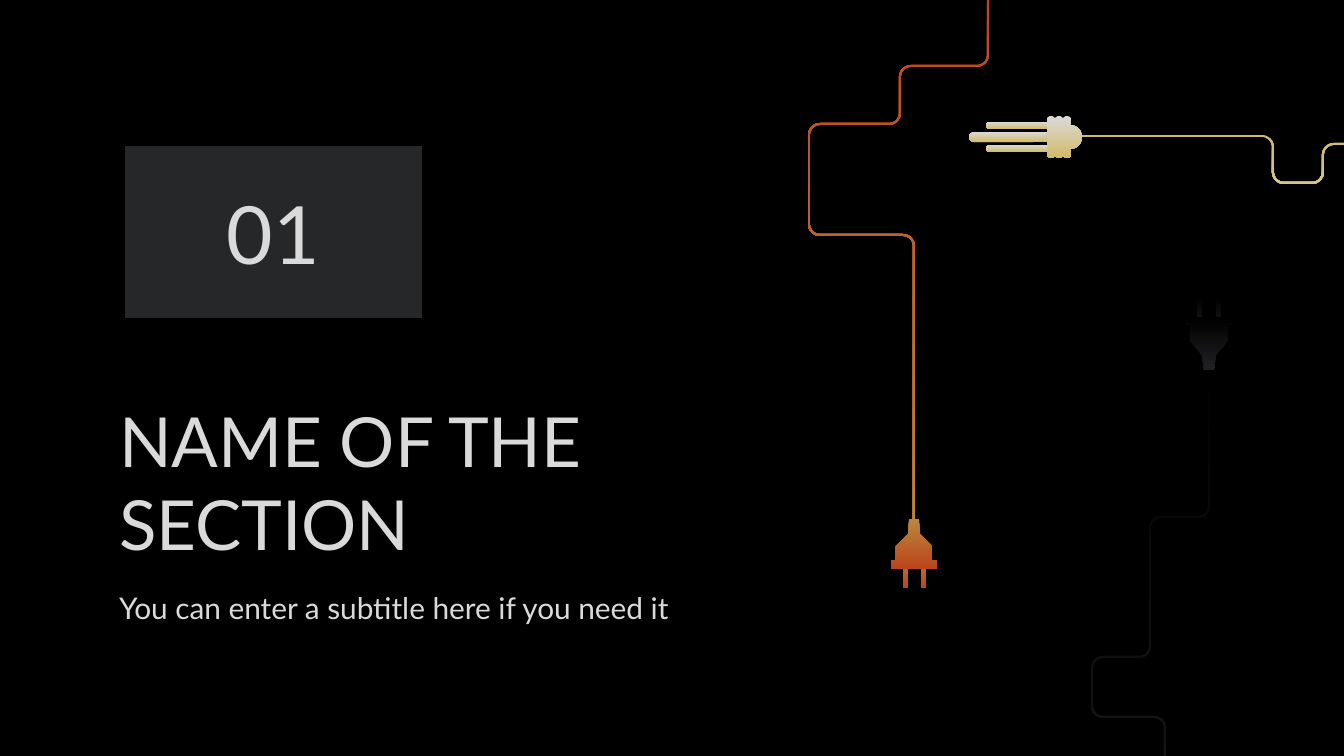
from math import cos, pi, sin

from pptx import Presentation
from pptx.dml.color import RGBColor
from pptx.enum.shapes import MSO_SHAPE as Preset
from pptx.enum.text import MSO_ANCHOR as Anchor, MSO_AUTO_SIZE as AutoSize, PP_ALIGN as Align
from pptx.oxml.ns import qn
from pptx.util import Emu, Pt
from lxml.etree import SubElement

SCALE = 914400 / 134.4
FONT = "Lato"
LIGHT = "DADADA"
CORD_RADIUS = 11
CORD_HALF_WIDTH = 1
ORANGE = ("BB8640", "BC451B")
YELLOW = ("D3BA68", LIGHT)
DARK = ("000000", "212123")


def px(length):
    return Emu(round(length * SCALE))


def color(hex_string):
    return RGBColor.from_string(hex_string)


def paint(shape, top, bottom):
    shape.shadow.inherit = False
    shape.line.fill.background()
    shape.fill.gradient()
    shape.fill.gradient_angle = 270
    for stop, shade in zip(shape.fill.gradient_stops, (top, bottom)):
        stop.color.rgb = color(shade)


def add_outline(slide, points, top, bottom):
    corners = [(px(x), px(y)) for x, y in points]
    builder = slide.shapes.build_freeform(*corners[0], scale=1.0)
    builder.add_line_segments(corners[1:], close=True)
    paint(builder.convert_to_shape(), top, bottom)


def arc(center_x, center_y, radius, start, end, steps=12):
    angles = [start + (end - start) * step / steps for step in range(steps + 1)]
    return [(center_x + radius * cos(a), center_y + radius * sin(a)) for a in angles]


def direction(start, end):
    dx, dy = end[0] - start[0], end[1] - start[1]
    length = abs(dx) + abs(dy)
    return dx / length, dy / length


def cord_edge(route, side):
    offset = side * CORD_HALF_WIDTH
    headings = [direction(a, b) for a, b in zip(route, route[1:])]

    def beside(point, heading):
        return point[0] - heading[1] * offset, point[1] + heading[0] * offset

    edge = [beside(route[0], headings[0])]
    for (x, y), (ax, ay), (bx, by) in zip(route[1:-1], headings, headings[1:]):
        center_x = x + (bx - ax) * CORD_RADIUS
        center_y = y + (by - ay) * CORD_RADIUS
        radius = CORD_RADIUS - offset * (ax * by - ay * bx)
        for across, along in arc(0, 0, radius, 0, pi / 2, 8):
            edge.append((center_x + ax * along - bx * across,
                         center_y + ay * along - by * across))
    return edge + [beside(route[-1], headings[-1])]


def add_cord(slide, route, top, bottom):
    add_outline(slide, cord_edge(route, 1) + cord_edge(route, -1)[::-1], top, bottom)


def add_prong(slide, box, top, bottom):
    prong = slide.shapes.add_shape(Preset.ROUNDED_RECTANGLE, *map(px, box))
    prong.adjustments[0] = 0.5
    paint(prong, top, bottom)


def add_plug_body(slide, center, profile, top, bottom):
    right = [(center + half, y) for half, y in profile]
    left = [(center - half, y) for half, y in reversed(profile)]
    add_outline(slide, right + left, top, bottom)


def add_ridged_head(slide, top, bottom):
    ridges = (1051, 1059, 1067)
    points = []
    for x in ridges:
        points += arc(x, 120, 4, -pi, 0)
    points += arc(1070, 137, 12, -pi / 2, pi / 2)
    for x in reversed(ridges):
        points += arc(x, 154, 4, 0, pi)
    add_outline(slide, points, top, bottom)


def set_text(shape, text, size, anchor, align):
    frame = shape.text_frame
    frame.text = text
    frame.word_wrap = True
    frame.auto_size = AutoSize.NONE
    frame.vertical_anchor = anchor
    frame.margin_left = frame.margin_right = px(13)
    frame.margin_top = frame.margin_bottom = px(13)
    paragraph = frame.paragraphs[0]
    paragraph.alignment = align
    paragraph.space_before = Pt(0)
    font = paragraph.runs[0].font
    font.name, font.size = FONT, Pt(size)
    font.color.rgb = color(LIGHT)


def place(shape, left, top, width, height):
    shape.left, shape.top = px(left), px(top)
    shape.width, shape.height = px(width), px(height)


def add_number(slide, text):
    box = slide.shapes.add_shape(Preset.RECTANGLE, px(124), px(145), px(299), px(174))
    box.shadow.inherit = False
    box.fill.solid()
    box.fill.fore_color.rgb = color("8F9396")
    shade = box.element.spPr.find(qn("a:solidFill"))[0]
    SubElement(shade, qn("a:alpha"), val="27000")
    box.line.color.rgb = color("000000")
    box.line.width = Pt(0.75)
    set_text(box, text, 43, Anchor.MIDDLE, Align.CENTER)


def add_orange_plug(slide):
    add_cord(slide, [(1133, -10), (988, -10), (988, 66), (900, 66), (900, 124),
                     (809, 124), (809, 235), (914, 235), (914, 522)], *ORANGE[::-1])
    for left in (903, 921):
        add_prong(slide, (left, 552, 5, 36), *ORANGE)
    add_plug_body(slide, 914, [(5, 519), (6, 534), (18, 546), (18, 561),
                               (23, 561), (23, 569)], *ORANGE)


def add_dark_plug(slide):
    add_cord(slide, [(1209, 355), (1209, 517), (1150, 517), (1150, 657), (1092, 657),
                     (1092, 717), (1165, 717), (1165, 840), (1114, 840), (1114, 992)], *DARK)
    for left in (1197, 1216):
        add_prong(slide, (left, 297, 5, 38), *DARK)
    add_plug_body(slide, 1209, [(23, 317), (23, 325), (19, 325), (19, 341),
                                (7, 355), (5, 370)], *DARK)


def add_yellow_plug(slide):
    add_cord(slide, [(1073, 136), (1273, 136), (1273, 183), (1323, 183),
                     (1323, 144), (1375, 144), (1375, 291), (1636, 291)], *YELLOW)
    for box in ((986, 122, 78, 7), (969, 132, 113, 10), (986, 145, 78, 7)):
        add_prong(slide, box, *YELLOW[::-1])
    add_ridged_head(slide, *YELLOW[::-1])


def main():
    presentation = Presentation()
    presentation.slide_width, presentation.slide_height = px(1344), px(756)
    slide = presentation.slides.add_slide(presentation.slide_layouts[0])
    slide.background.fill.solid()
    slide.background.fill.fore_color.rgb = color("000000")

    title, subtitle = slide.placeholders
    place(title, 106, 421, 745, 156)
    set_text(title, "NAME OF THE SECTION", 37, Anchor.BOTTOM, Align.LEFT)
    place(subtitle, 106, 577, 745, 55)
    set_text(subtitle, "You can enter a subtitle here if you need it", 16, Anchor.TOP, Align.LEFT)
    add_number(slide, "01")

    add_orange_plug(slide)
    add_dark_plug(slide)
    add_yellow_plug(slide)
    presentation.save("out.pptx")


if __name__ == "__main__":
    main()
